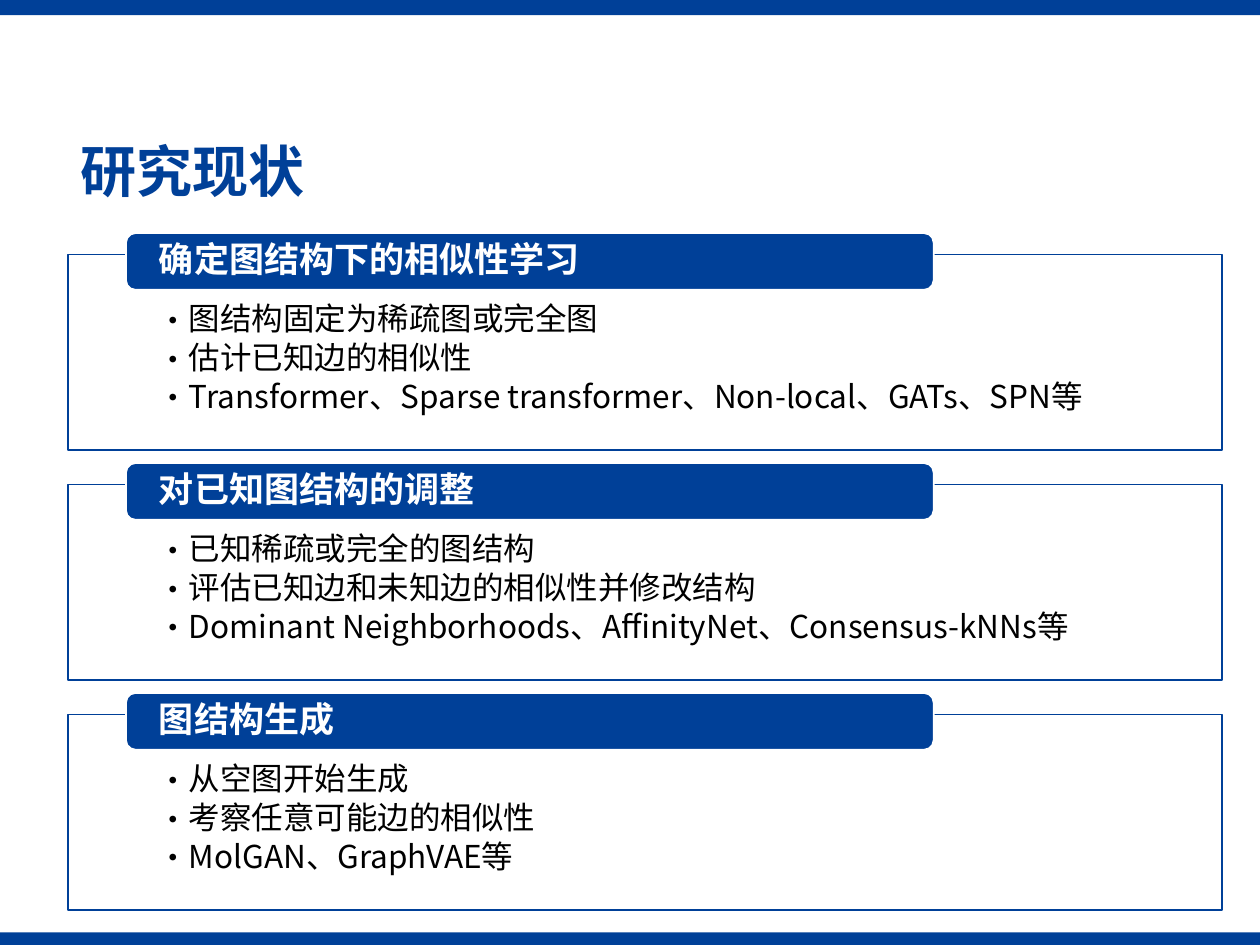
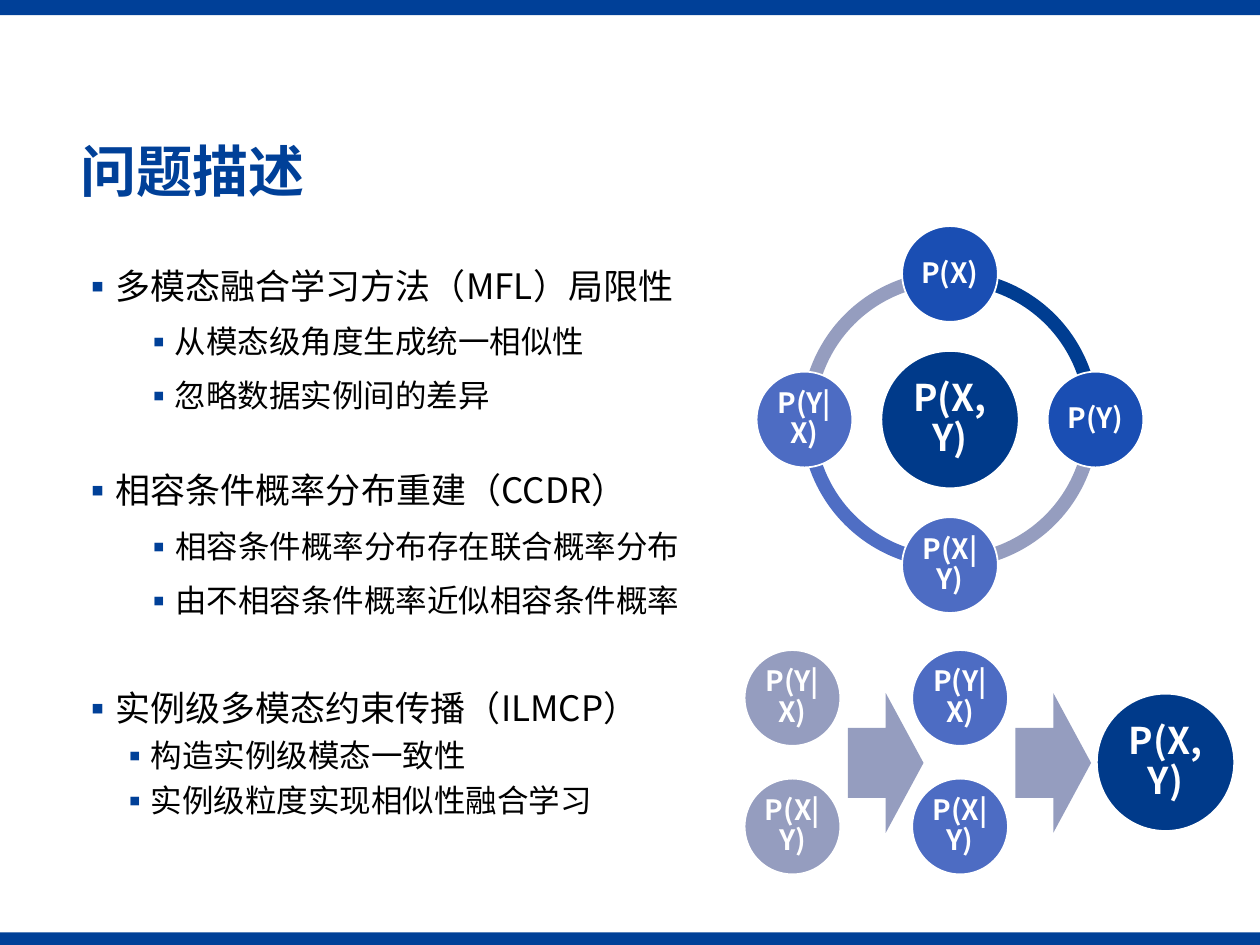
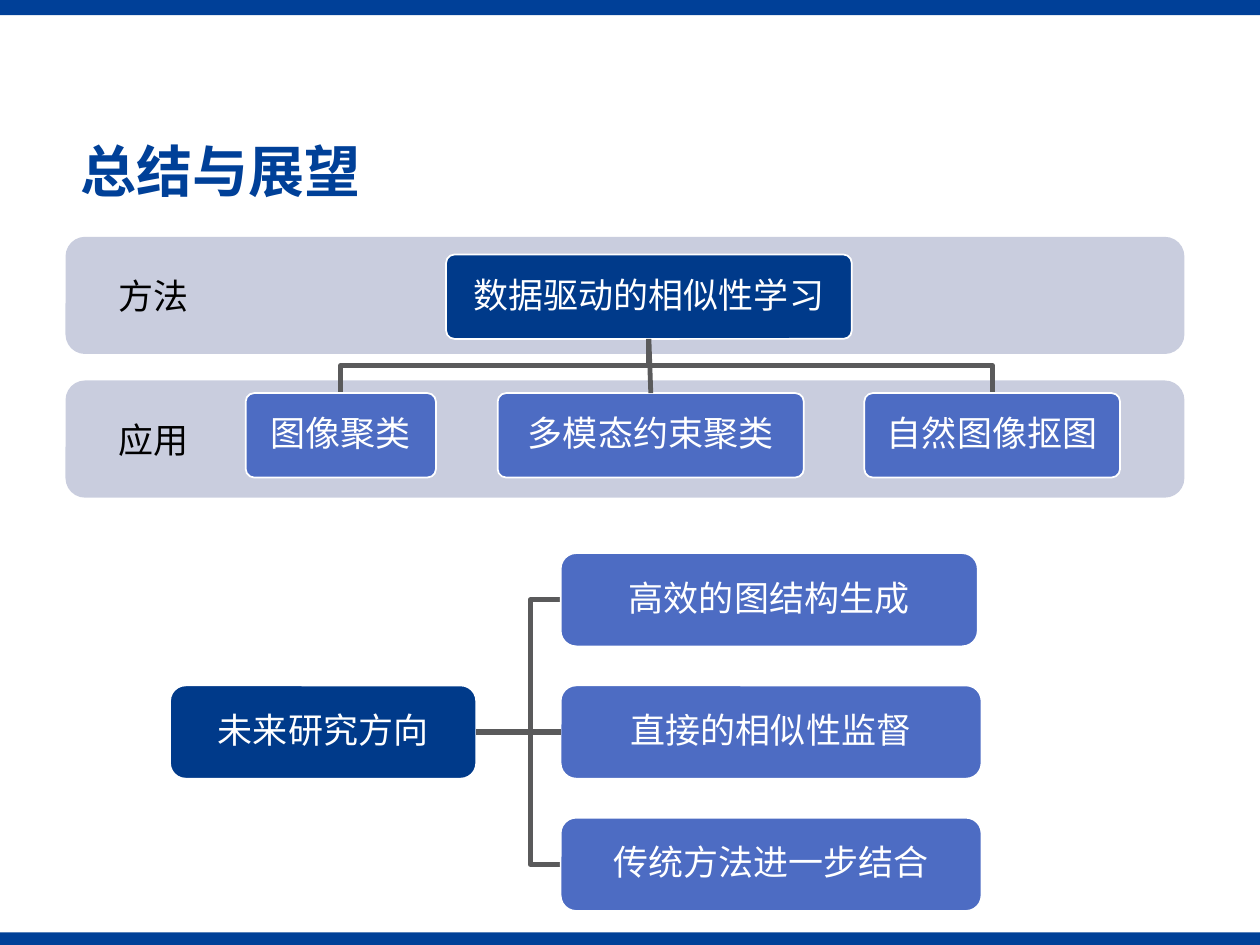
from dataclasses import dataclass

from lxml.etree import SubElement
from pptx import Presentation
from pptx.dml.color import RGBColor
from pptx.enum.shapes import MSO_CONNECTOR, MSO_SHAPE
from pptx.enum.text import MSO_ANCHOR, MSO_AUTO_SIZE, PP_ALIGN
from pptx.oxml.ns import qn
from pptx.util import Inches, Pt

FONT = "Noto Sans CJK SC"
BRAND = "004098"
NAVY = "003A8A"
ROYAL = "1A4EB3"
PERIWINKLE = "4D6CC3"
MIST = "959DBF"
WHITE = "FFFFFF"
BLACK = "000000"
LINK = "5A5A5B"


@dataclass
class Area:
    left: float
    top: float
    width: float
    height: float

    def lengths(self) -> tuple:
        return tuple(Inches(value) for value in (self.left, self.top, self.width, self.height))


@dataclass
class Panel:
    heading: str
    points: list


@dataclass
class Bubble:
    text: str
    x: float
    y: float
    color: str
    diameter: float = 0.76
    size: float = 16


@dataclass
class Node:
    text: str
    area: Area
    color: str = PERIWINKLE


@dataclass
class Outline:
    top: float
    heading: str
    points: list
    indent: float = 0.25
    heading_gap: float = 10
    point_gap: float = 5


def rgb(color: str) -> RGBColor:
    return RGBColor.from_string(color)


def write(frame, text: str, *, size: float, color: str = BLACK, bold: bool = False,
          align=PP_ALIGN.LEFT, spacing: float = 0.9, before: float = 0, after: float = 0,
          level: int = 0, bullet: str = "", bullet_color: str = BLACK,
          margin: float = 0, hanging: float = 0) -> None:
    first = not frame.paragraphs[0].runs
    para = frame.paragraphs[0] if first else frame.add_paragraph()
    para.level = level
    para.alignment = align
    para.line_spacing = spacing
    para.space_before = Pt(0 if first else before)
    para.space_after = Pt(after)
    if bullet:
        properties = para._p.get_or_add_pPr()
        properties.set("marL", str(Inches(margin)))
        properties.set("indent", str(Inches(-hanging)))
        tint = SubElement(properties, qn("a:buClr"))
        SubElement(tint, qn("a:srgbClr"), val=bullet_color)
        SubElement(properties, qn("a:buFont"), typeface=FONT)
        SubElement(properties, qn("a:buChar"), char=bullet)
    span = para.add_run()
    span.text = text
    span.font.size = Pt(size)
    span.font.bold = bold
    span.font.name = FONT
    span.font.color.rgb = rgb(color)
    SubElement(span._r.get_or_add_rPr(), qn("a:ea"), typeface=FONT)


def set_frame(frame, insets: tuple = (0.1, 0.05, 0.1, 0.05), anchor=MSO_ANCHOR.TOP,
              wrap: bool = True) -> None:
    frame.auto_size = MSO_AUTO_SIZE.NONE
    frame.word_wrap = wrap
    frame.vertical_anchor = anchor
    (frame.margin_left, frame.margin_top,
     frame.margin_right, frame.margin_bottom) = map(Inches, insets)


def place(shape, area: Area) -> None:
    shape.left, shape.top, shape.width, shape.height = area.lengths()


def add_figure(page, kind, area: Area, fill: str, line: str = "", alpha: int = 100,
               adjustments: tuple = ()):
    shape = page.shapes.add_shape(kind, *area.lengths())
    shape.shadow.inherit = False
    for index, value in enumerate(adjustments):
        shape.adjustments[index] = value
    shape.fill.solid()
    shape.fill.fore_color.rgb = rgb(fill)
    if alpha < 100:
        tint = shape.element.spPr.find(qn("a:solidFill")).find(qn("a:srgbClr"))
        SubElement(tint, qn("a:alpha"), val=str(alpha * 1000))
    if line:
        shape.line.color.rgb = rgb(line)
        shape.line.width = Pt(1)
    else:
        shape.line.fill.background()
    return shape


def add_text_box(page, area: Area, wrap: bool = True):
    box = page.shapes.add_textbox(*area.lengths())
    set_frame(box.text_frame, wrap=wrap)
    return box.text_frame


def add_page(deck, layout: int, title: str):
    page = deck.slides.add_slide(deck.slide_layouts[layout])
    place(page.shapes.title, Area(0.54, 1.07, 9.16, 0.63))
    frame = page.shapes.title.text_frame
    set_frame(frame, anchor=MSO_ANCHOR.MIDDLE)
    write(frame, title, size=32, color=BRAND, bold=True)
    return page


def add_master_bands(deck, page) -> None:
    for area in (Area(0, 7.4, 10, 0.1), Area(0, 0, 10, 0.12)):
        band = add_figure(page, MSO_SHAPE.RECTANGLE, area, BRAND)
        deck.slide_master.shapes.element.append(band.element)


def add_panel(page, panel: Panel, top: float) -> None:
    body = add_figure(page, MSO_SHAPE.RECTANGLE, Area(0.54, top, 9.16, 1.55), WHITE, BRAND)
    set_frame(body.text_frame, (0.71, 0.39, 0.71, 0.14))
    for point in panel.points:
        write(body.text_frame, point, size=18, after=2.7, level=1,
              bullet="•", margin=0.19, hanging=0.19)
    header = add_figure(page, MSO_SHAPE.ROUNDED_RECTANGLE, Area(1, top - 0.17, 6.41, 0.45),
                        BRAND, WHITE)
    set_frame(header.text_frame, (0.24, 0, 0.24, 0), MSO_ANCHOR.MIDDLE)
    write(header.text_frame, panel.heading, size=20, color=WHITE, bold=True)


def add_bubble(page, bubble: Bubble) -> None:
    radius = bubble.diameter / 2
    area = Area(bubble.x - radius, bubble.y - radius, bubble.diameter, bubble.diameter)
    shape = add_figure(page, MSO_SHAPE.OVAL, area, bubble.color, WHITE)
    set_frame(shape.text_frame, (0.02,) * 4, MSO_ANCHOR.MIDDLE)
    write(shape.text_frame, bubble.text, size=bubble.size, color=WHITE, bold=True,
          align=PP_ALIGN.CENTER)


def fill_outline(frame, outline: Outline) -> None:
    shared = dict(spacing=1.2, bullet="▪", bullet_color=BRAND, hanging=0.25)
    write(frame, outline.heading, size=20, before=outline.heading_gap,
          margin=outline.indent, **shared)
    for point in outline.points:
        write(frame, point, size=18, before=outline.point_gap, level=1,
              margin=outline.indent + 0.5, **shared)


def add_node(page, node: Node, inset: float, corner: float):
    shape = add_figure(page, MSO_SHAPE.ROUNDED_RECTANGLE, node.area, node.color, WHITE,
                       adjustments=(corner,))
    set_frame(shape.text_frame, (inset,) * 4, MSO_ANCHOR.MIDDLE)
    write(shape.text_frame, node.text, size=20, color=WHITE, align=PP_ALIGN.CENTER)
    return shape


def add_elbow(page, points: list, width: float) -> None:
    start, *rest = [(Inches(x), Inches(y)) for x, y in points]
    builder = page.shapes.build_freeform(*start)
    builder.add_line_segments(rest, close=False)
    elbow = builder.convert_to_shape()
    elbow.shadow.inherit = False
    elbow.fill.background()
    elbow.line.color.rgb = rgb(LINK)
    elbow.line.width = Pt(width)


def join(page, parent, child, begin_site: int, end_site: int, width: float) -> None:
    link = page.shapes.add_connector(MSO_CONNECTOR.STRAIGHT, 0, 0, 0, 0)
    link.begin_connect(parent, begin_site)
    link.end_connect(child, end_site)
    link.line.color.rgb = rgb(LINK)
    link.line.width = Pt(width)
    SubElement(link.element.spPr, qn("a:effectLst"))


def build_status(deck) -> None:
    page = add_page(deck, 5, "研究现状")
    add_master_bands(deck, page)
    panels = [
        Panel("确定图结构下的相似性学习",
              ["图结构固定为稀疏图或完全图", "估计已知边的相似性",
               "Transformer、Sparse transformer、Non-local、GATs、SPN等"]),
        Panel("对已知图结构的调整",
              ["已知稀疏或完全的图结构", "评估已知边和未知边的相似性并修改结构",
               "Dominant Neighborhoods、AffinityNet、Consensus-kNNs等"]),
        Panel("图结构生成",
              ["从空图开始生成", "考察任意可能边的相似性", "MolGAN、GraphVAE等"]),
    ]
    for index, panel in enumerate(panels):
        add_panel(page, panel, 2.02 + 1.825 * index)


def build_problem(deck) -> None:
    page = add_page(deck, 1, "问题描述")
    body = page.placeholders[1]
    place(body, Area(0.54, 3.6, 9.16, 1.56))
    set_frame(body.text_frame)
    fill_outline(body.text_frame, Outline(
        3.6, "相容条件概率分布重建（CCDR）",
        ["相容条件概率分布存在联合概率分布", "由不相容条件概率近似相容条件概率"]))
    outlines = [
        Outline(1.98, "多模态融合学习方法（MFL）局限性",
                ["从模态级角度生成统一相似性", "忽略数据实例间的差异"]),
        Outline(5.33, "实例级多模态约束传播（ILMCP）",
                ["构造实例级模态一致性", "实例级粒度实现相似性融合学习"], 0.06, 0, 0),
    ]
    for outline in outlines:
        fill_outline(add_text_box(page, Area(0.54, outline.top, 5.4, 1.5)), outline)

    center_x, center_y, orbit = 7.54, 3.33, 1.155
    quarter = 54
    for index, color in enumerate((MIST, "4F6EC4", MIST, "003D91")):
        add_figure(page, MSO_SHAPE.BLOCK_ARC, Area(6.36, 2.15, 2.36, 2.36), color,
                   adjustments=(quarter * index, quarter * (index + 1) % 216, 0.046))
    for x, y in ((center_x, center_y), (9.25, 6.05)):
        add_bubble(page, Bubble("P(X, Y)", x, y, NAVY, 1.09, 21))
    ring = [
        Bubble("P(X)", center_x, center_y - orbit, ROYAL),
        Bubble("P(Y)", center_x + orbit, center_y, ROYAL),
        Bubble("P(X|Y)", center_x, center_y + orbit, PERIWINKLE),
        Bubble("P(Y|X)", center_x - orbit, center_y, PERIWINKLE),
    ]
    steps = [Bubble(text, x, y, color)
             for x, color in ((6.29, MIST), (7.62, PERIWINKLE))
             for text, y in (("P(Y|X)", 5.54), ("P(X|Y)", 6.56))]
    for bubble in ring + steps:
        add_bubble(page, bubble)
    for left in (6.73, 8.06):
        add_figure(page, MSO_SHAPE.RIGHT_ARROW, Area(left, 5.5, 0.6, 1.11), MIST)


def build_summary(deck) -> None:
    page = add_page(deck, 5, "总结与展望")
    for label, top in (("方法", 1.88), ("应用", 3.02)):
        add_figure(page, MSO_SHAPE.ROUNDED_RECTANGLE, Area(0.52, top, 8.88, 0.93),
                   MIST, alpha=50)
        frame = add_text_box(page, Area(0.84, top + 0.25, 0.76, 0.44), wrap=False)
        write(frame, label, size=20, spacing=1.0)

    method = add_node(page, Node("数据驱动的相似性学习", Area(3.54, 2.02, 3.22, 0.67), NAVY),
                      0.08, 0.1)
    clustering, multimodal, matting = [
        Node(text, Area(left, 3.12, width, 0.67)) for text, left, width in (
            ("图像聚类", 1.95, 1.51), ("多模态约束聚类", 3.95, 2.43), ("自然图像抠图", 6.86, 2.03))]
    for node in (clustering, matting):
        middle = node.area.left + node.area.width / 2
        add_elbow(page, [(5.15, 2.69), (5.15, 2.9), (middle, 2.9), (middle, 3.12)], 2.75)
        add_node(page, node, 0.08, 0.1)
    join(page, method, add_node(page, multimodal, 0.08, 0.1), 2, 0, 2.75)

    future = add_node(page, Node("未来研究方向", Area(1.35, 5.44, 2.43, 0.74), NAVY), 0.01, 0.167)
    directions = (("高效的图结构生成", 3.31), ("直接的相似性监督", 3.34), ("传统方法进一步结合", 3.34))
    for index, (text, width) in enumerate(directions):
        top = 4.39 + 1.05 * index
        middle = top + 0.37
        if index != 1:
            add_elbow(page, [(3.78, 5.81), (4.21, 5.81), (4.21, middle), (4.45, middle)], 3)
        shape = add_node(page, Node(text, Area(4.45, top, width, 0.74)), 0.01, 0.167)
        if index == 1:
            join(page, future, shape, 3, 1, 3)


def main() -> None:
    deck = Presentation()
    deck.slide_width, deck.slide_height = Inches(10), Inches(7.5)
    build_status(deck)
    build_problem(deck)
    build_summary(deck)
    deck.save("out.pptx")


if __name__ == "__main__":
    main()
